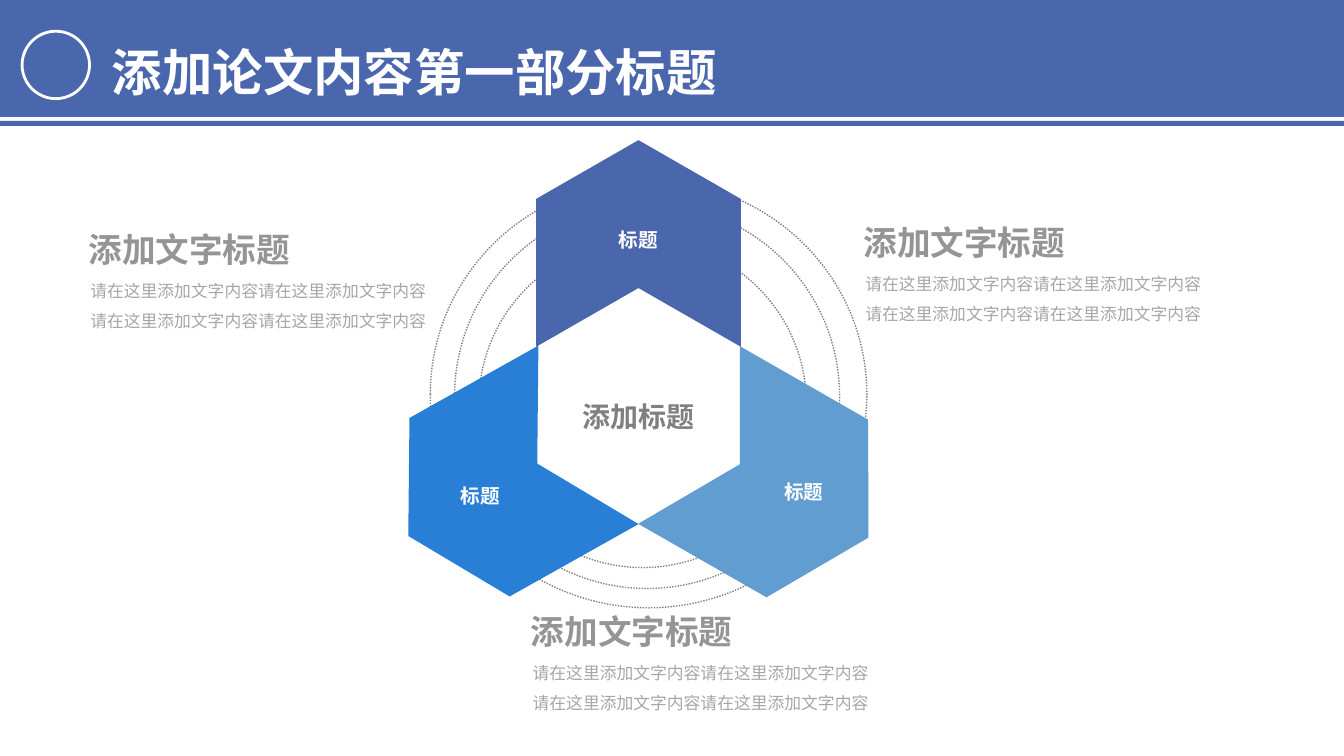
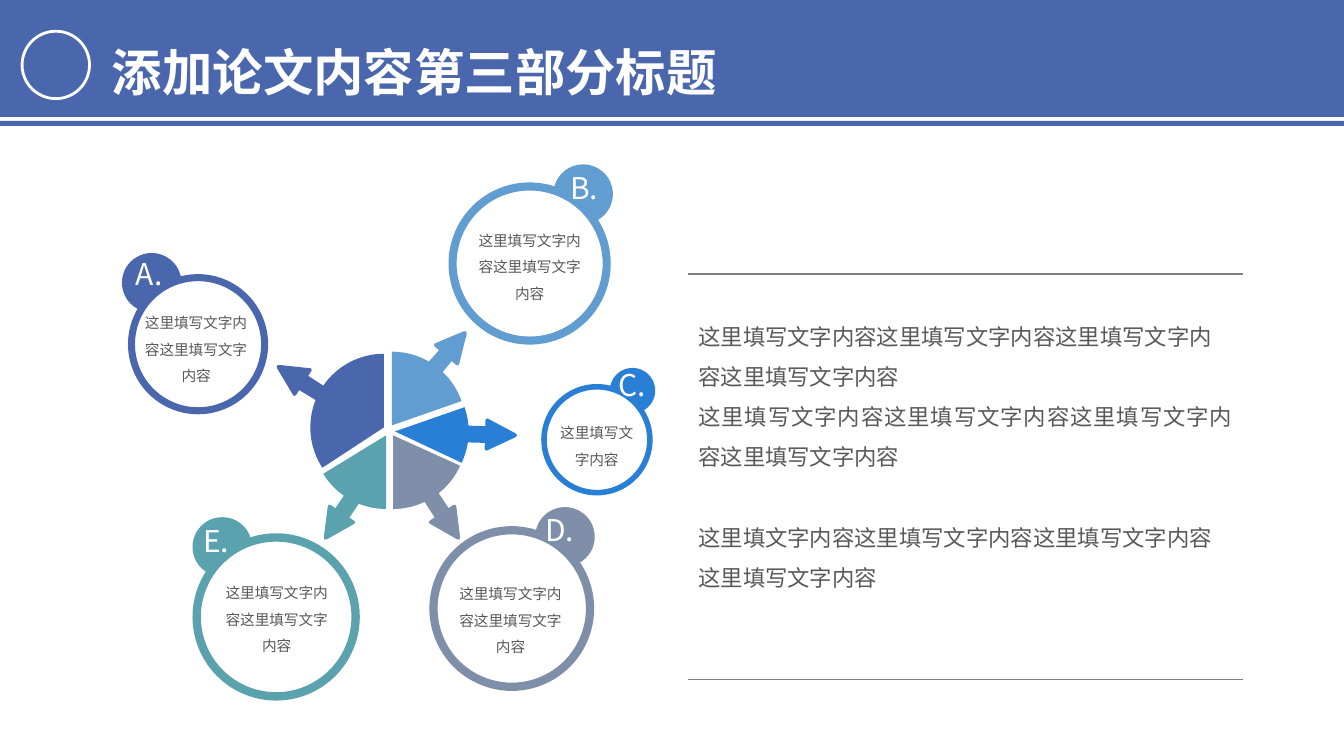
"""Build two thesis slides: a hexagon cycle and a five-part hub."""
from dataclasses import dataclass
from math import atan2, cos, degrees, radians, sin

from lxml.etree import SubElement
from pptx import Presentation
from pptx.dml.color import RGBColor
from pptx.enum.dml import MSO_LINE
from pptx.enum.shapes import MSO_CONNECTOR, MSO_SHAPE as SHAPE
from pptx.enum.text import MSO_ANCHOR as ANCHOR, MSO_AUTO_SIZE, PP_ALIGN as ALIGN
from pptx.oxml.ns import qn
from pptx.util import Pt


@dataclass(frozen=True)
class Theme:
    font: str = "Noto Sans CJK SC"
    navy: str = "4A66AC"
    sky: str = "629DD1"
    blue: str = "297FD5"
    slate: str = "7F8FA9"
    teal: str = "5AA2AE"
    white: str = "FFFFFF"
    line: str = "808080"
    heading: str = "959595"
    caption: str = "A6A6A6"
    body: str = "595959"
    title_size: float = 36
    heading_size: float = 24
    letter_size: float = 21.4
    center_size: float = 20
    body_size: float = 16
    label_size: float = 14
    caption_size: float = 12
    bubble_size: float = 10.5


T = Theme()
WIDTH, HEIGHT = 960, 540
SLICE_RADIUS = 52.6
ARROW_LENGTH = 35
ARROW_HALF = [(35, 6), (23, 6), (23, 10.2), (22.6, 11.1), (21.5, 11.5), (1.5, 1.5)]
PHRASE = "这里填写文字内容"


def rgb(color):
    return RGBColor.from_string(color)


def write(tf, text, size, color, bold=False, align=ALIGN.LEFT, anchor=ANCHOR.TOP,
          spacing=None, before=0, wrap=True):
    tf.word_wrap = wrap
    tf.auto_size = MSO_AUTO_SIZE.NONE
    tf.vertical_anchor = anchor
    for i, line in enumerate(text.split("\n")):
        p = tf.add_paragraph() if i else tf.paragraphs[0]
        p.alignment = align
        p.space_before = Pt(before)
        if spacing:
            p.line_spacing = spacing
        r = p.add_run()
        r.text = line
        r.font.size, r.font.bold, r.font.name = Pt(size), bold, T.font
        r.font.color.rgb = rgb(color)
        SubElement(r.font._element, qn("a:ea"), typeface=T.font)
    return tf


def text_box(slide, text, box, **style):
    tb = slide.shapes.add_textbox(*map(Pt, box))
    return write(tb.text_frame, text, **style)


def paint(sp, fill=None, line=None, width=1):
    sp.shadow.inherit = False
    if fill:
        sp.fill.solid()
        sp.fill.fore_color.rgb = rgb(fill)
    else:
        sp.fill.background()
    if line:
        sp.line.color.rgb = rgb(line)
        sp.line.width = Pt(width)
    else:
        sp.line.fill.background()
    return sp


def shape(slide, kind, box, **style):
    return paint(slide.shapes.add_shape(kind, *map(Pt, box)), **style)


def rule(slide, x1, x2, y):
    cx = slide.shapes.add_connector(MSO_CONNECTOR.STRAIGHT, *map(Pt, (x1, y, x2, y)))
    cx.line.color.rgb = rgb(T.line)
    cx.line.width = Pt(1)
    SubElement(cx._element.spPr, qn("a:effectLst"))


def titled_slide(prs, title):
    slide = prs.slides.add_slide(prs.slide_layouts[5])
    shape(slide, SHAPE.RECTANGLE, (0, 0, WIDTH, 83.5), fill=T.navy)
    shape(slide, SHAPE.RECTANGLE, (0, 86.4, WIDTH, 3.6), fill=T.navy)
    shape(slide, SHAPE.OVAL, (15.8, 22.3, 48.2, 48.2), fill=T.navy, line=T.white, width=2)
    sp = slide.shapes.title
    sp.left, sp.top, sp.width, sp.height = map(Pt, (72.7, 4.3, 449.3, 72.7))
    write(sp.text_frame, title, size=T.title_size, color=T.white, bold=True, spacing=1.5)
    slide.shapes._spTree.append(sp._element)
    return slide


def chevron(slide, x, y, rotation, color):
    sp = shape(slide, SHAPE.CHEVRON, (x, y, 147.6, 146.2), fill=color)
    sp.adjustments[0] = 0.287
    sp.rotation = rotation


def caption(slide, x, y):
    text_box(slide, "请在这里添加文字内容" * 4, (x + 1.2, y + 32.8, 262.8, 62.6),
             size=T.caption_size, color=T.caption, spacing=1.5, before=2.4)
    text_box(slide, "添加文字标题", (x, y, 226.8, 41.8), size=T.heading_size,
             color=T.heading, bold=True, anchor=ANCHOR.MIDDLE)


def slice_arrow(slide, apex, start, end, tip, heading, color):
    def polar(angle):
        a = radians(angle)
        return apex[0] + SLICE_RADIUS * cos(a), apex[1] + SLICE_RADIUS * sin(a)

    def arc(first, last, steps=16):
        return [polar(first + (last - first) * i / steps) for i in range(steps + 1)]

    def from_tip(back, side):
        c, s = cos(radians(heading)), sin(radians(heading))
        return tip[0] - back * c - side * s, tip[1] - back * s + side * c

    def bearing(point):
        angle = degrees(atan2(point[1] - apex[1], point[0] - apex[0]))
        return start + (angle - start) % 360

    near = [from_tip(back, -side) for back, side in ARROW_HALF]
    far = [from_tip(back, side) for back, side in reversed(ARROW_HALF)]
    outline = (arc(start, bearing(near[0])) + near[1:] + [tip]
               + far[:-1] + arc(bearing(far[-1]), end))
    fb = slide.shapes.build_freeform(*map(Pt, apex))
    fb.add_line_segments([(Pt(x), Pt(y)) for x, y in outline], close=True)
    paint(fb.convert_to_shape(), fill=color)


def bubble(slide, letter, color, ring, badge, letter_at, text, text_box_at):
    x, y, size = ring
    stroke = size * 0.05
    inner = size - stroke
    shape(slide, SHAPE.OVAL, (*badge, badge[-1]), fill=color)
    shape(slide, SHAPE.OVAL, (x + stroke / 2, y + stroke / 2, inner, inner),
          fill=T.white, line=color, width=stroke)
    text_box(slide, letter + ".", (*letter_at, 36, 33), size=T.letter_size,
             color=T.white, wrap=False)
    text_box(slide, text, text_box_at, size=T.bubble_size, color=T.body,
             align=ALIGN.CENTER, spacing=1.5)


def cycle_slide(prs):
    slide = titled_slide(prs, "添加论文内容第一部分标题")
    for box in ((307.4, 128.9, 311.8, 305.3), (324.7, 145.4, 275, 275), (342, 171.4, 234, 234)):
        orbit = shape(slide, SHAPE.OVAL, box, line=T.line)
        orbit.line.dash_style = MSO_LINE.ROUND_DOT
    chevron(slide, 282.2, 273.6, 150.7, T.blue)
    chevron(slide, 382.3, 100.8, 270, T.navy)
    chevron(slide, 482.4, 274.3, 29.8, T.sky)
    text_box(slide, "添加标题", (383, 281.5, 146.2, 31.7), size=T.center_size,
             color=T.line, bold=True, align=ALIGN.CENTER)
    for x, y, w in ((375.8, 159.1, 160.6), (297.4, 342, 91.4), (528.6, 339.1, 91.4)):
        text_box(slide, "标题", (x, y, w, 24), size=T.label_size, color=T.white,
                 bold=True, align=ALIGN.CENTER)
    for x, y in ((609.8, 152), (372.2, 430), (56.2, 156.8)):
        caption(slide, x, y)


def hub_slide(prs):
    slide = titled_slide(prs, "添加论文内容第三部分标题")
    for part in (
        ((280, 303.8), 270, 340.8, (333.2, 236.6), -49.3, T.sky),
        ((274.3, 305.3), 146.8, 270, (197.6, 261.2), 212.6, T.navy),
        ((282.2, 308.2), -19.2, 25.2, (369.5, 311), 1.5, T.blue),
        ((280.8, 311), 24.4, 90, (328.2, 385.5), 56.5, T.slate),
        ((275.8, 311), 90, 148.5, (231.8, 385.5), 123.9, T.teal),
    ):
        slice_arrow(slide, *part)
    double = PHRASE * 2
    for part in (
        ("A", T.navy, (91.4, 195.8, 100.1), (87.1, 180.7, 42.5), (90, 179.3),
         double, (95.8, 214.6, 88.6, 62)),
        ("B", T.sky, (320.4, 130.3, 115.9), (395.3, 117.4, 42.5), (400.3, 117.4),
         double, (334.1, 155.5, 88.6, 62)),
        ("C", T.blue, (386.6, 274.3, 79.6), (435.6, 262.8, 32.4), (434.9, 258.5),
         PHRASE, (388.8, 293, 74.9, 45.4)),
        ("D", T.slate, (306.7, 375.8, 117.7), (382.3, 362.2, 42.5), (382.3, 362.2),
         double, (320.4, 408.2, 88.6, 62)),
        ("E", T.teal, (137.5, 380.9, 119.5), (137.5, 369.4, 42.5), (138.2, 369.4),
         double, (153.4, 407.5, 88.6, 62)),
    ):
        bubble(slide, *part)
    for y in (195.8, 485.3):
        rule(slide, 491.8, 887.8, y)
    paragraphs = [PHRASE * 4, PHRASE * 4, "这里填文字内容" + PHRASE * 3]
    tf = text_box(slide, "\n".join(paragraphs), (491.8, 217.4, 396, 211),
                  size=T.body_size, color=T.body, spacing=1.5)
    tf.paragraphs[1].alignment = ALIGN.JUSTIFY
    tf.paragraphs[2].space_before = Pt(28.8)


def main():
    prs = Presentation()
    prs.slide_width, prs.slide_height = Pt(WIDTH), Pt(HEIGHT)
    cycle_slide(prs)
    hub_slide(prs)
    prs.save("out.pptx")


if __name__ == "__main__":
    main()
